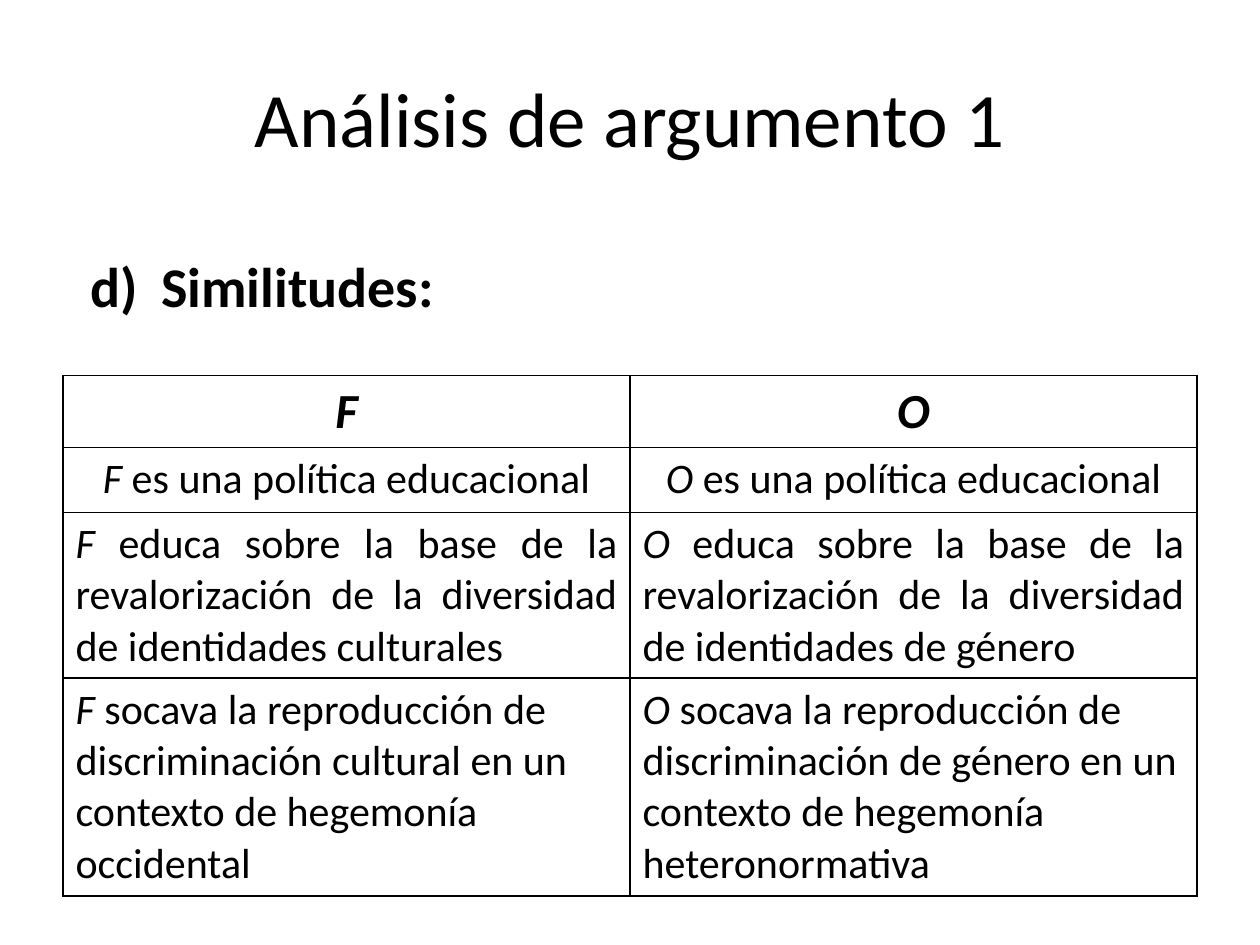
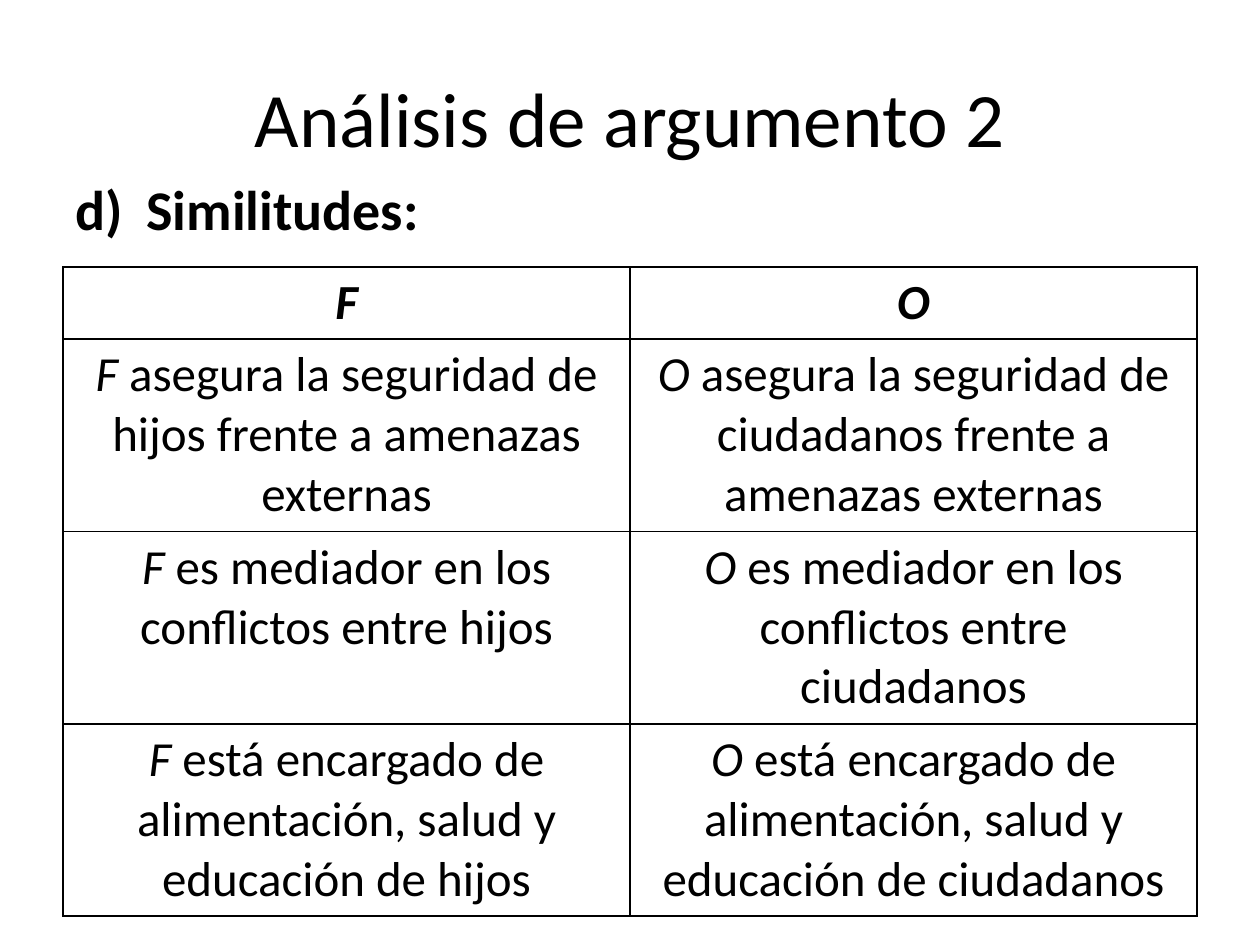
"""Build two slides that compare the similarities of F and O in each argument."""
from dataclasses import dataclass

from lxml.etree import SubElement
from pptx import Presentation
from pptx.dml.color import RGBColor
from pptx.enum.text import MSO_ANCHOR, PP_ALIGN
from pptx.oxml.ns import qn
from pptx.util import Cm, Pt

LEFT, CENTER, JUSTIFY = PP_ALIGN.LEFT, PP_ALIGN.CENTER, PP_ALIGN.JUSTIFY
HEADERS = ("F", "O")

ARGUMENTS = [
    {
        "title": "Análisis de argumento 1",
        "label_box": (1.57, 4.95, 18.67, 1.63),
        "table_top": 7.57,
        "body_size": 24,
        "row_heights": (1.45, 1.31, 3.34, 4.39),
        "alignments": (CENTER, JUSTIFY, LEFT),
        "similarities": [
            ("F es una política educacional", "O es una política educacional"),
            ("F educa sobre la base de la revalorización de la diversidad de identidades culturales",
             "O educa sobre la base de la revalorización de la diversidad de identidades de género"),
            ("F socava la reproducción de discriminación cultural en un contexto de hegemonía occidental",
             "O socava la reproducción de discriminación de género en un contexto de hegemonía heteronormativa"),
        ],
    },
    {
        "title": "Análisis de argumento 2",
        "label_box": (1.27, 3.4, 22.86, 12.57),
        "table_top": 5.38,
        "body_size": 28,
        "row_heights": (1.45, 3.88, 3.88, 3.88),
        "alignments": (CENTER, CENTER, CENTER),
        "similarities": [
            ("F asegura la seguridad de hijos frente a amenazas externas",
             "O asegura la seguridad de ciudadanos frente a amenazas externas"),
            ("F es mediador en los conflictos entre hijos",
             "O es mediador en los conflictos entre ciudadanos"),
            ("F está encargado de alimentación, salud y educación de hijos",
             "O está encargado de alimentación, salud y educación de ciudadanos"),
        ],
    },
]


@dataclass(frozen=True)
class Theme:
    font: str = "Calibri"
    ink: str = "000000"
    title_size: int = 44
    label_size: int = 32
    header_size: int = 28
    border_width: int = 1


THEME = Theme()
MARGIN, CONTENT_WIDTH = 1.27, 22.86
TITLE_BOX = (MARGIN, 0.76, CONTENT_WIDTH, 3.18)
LABEL_INDENT = Cm(1.43)


def write(frame, text, size, align=LEFT, bold=False, italic_first=False, numbered_from=None):
    paragraph = frame.paragraphs[0]
    paragraph.alignment = align
    if numbered_from:
        properties = paragraph._p.get_or_add_pPr()
        properties.set("marL", str(LABEL_INDENT))
        properties.set("indent", str(-LABEL_INDENT))
        SubElement(properties, qn("a:buFont"), typeface="+mj-lt")
        SubElement(properties, qn("a:buAutoNum"), type="alphaLcParenR", startAt=str(numbered_from))
    first, space, rest = text.partition(" ")
    parts = [(first, True), (space + rest, False)] if italic_first else [(text, False)]
    for content, italic in parts:
        if not content:
            continue
        run = paragraph.add_run()
        run.text = content
        run.font.name = THEME.font
        run.font.size = Pt(size)
        run.font.bold = bold
        run.font.italic = italic
        run.font.color.rgb = RGBColor.from_string(THEME.ink)


def add_text(slide, box, text, anchor=MSO_ANCHOR.TOP, **text_format):
    frame = slide.shapes.add_textbox(*map(Cm, box)).text_frame
    frame.word_wrap = True
    frame.vertical_anchor = anchor
    write(frame, text, **text_format)


def draw_borders(cell):
    properties = cell._tc.get_or_add_tcPr()
    for side in ("lnL", "lnR", "lnT", "lnB"):
        line = SubElement(properties, qn(f"a:{side}"), w=str(Pt(THEME.border_width)))
        fill = SubElement(line, qn("a:solidFill"))
        SubElement(fill, qn("a:srgbClr"), val=THEME.ink)


def add_similarities(slide, argument):
    rows = [HEADERS, *argument["similarities"]]
    alignments = (CENTER, *argument["alignments"])
    heights = argument["row_heights"]
    table = slide.shapes.add_table(
        len(rows), len(HEADERS), Cm(MARGIN), Cm(argument["table_top"]),
        Cm(CONTENT_WIDTH), Cm(sum(heights))).table
    table.horz_banding = False
    for row_index, (texts, align, height) in enumerate(zip(rows, alignments, heights)):
        table.rows[row_index].height = Cm(height)
        is_header = row_index == 0
        size = THEME.header_size if is_header else argument["body_size"]
        for column_index, text in enumerate(texts):
            cell = table.cell(row_index, column_index)
            draw_borders(cell)
            cell.fill.background()
            write(cell.text_frame, text, size, align, bold=is_header, italic_first=True)


def main():
    presentation = Presentation()
    presentation.slide_width, presentation.slide_height = Cm(25.4), Cm(19.05)
    for argument in ARGUMENTS:
        slide = presentation.slides.add_slide(presentation.slide_layouts[6])
        add_text(slide, TITLE_BOX, argument["title"], anchor=MSO_ANCHOR.MIDDLE,
                 size=THEME.title_size, align=CENTER)
        add_text(slide, argument["label_box"], "Similitudes:", size=THEME.label_size,
                 bold=True, numbered_from=4)
        add_similarities(slide, argument)
    presentation.save("out.pptx")


if __name__ == "__main__":
    main()
